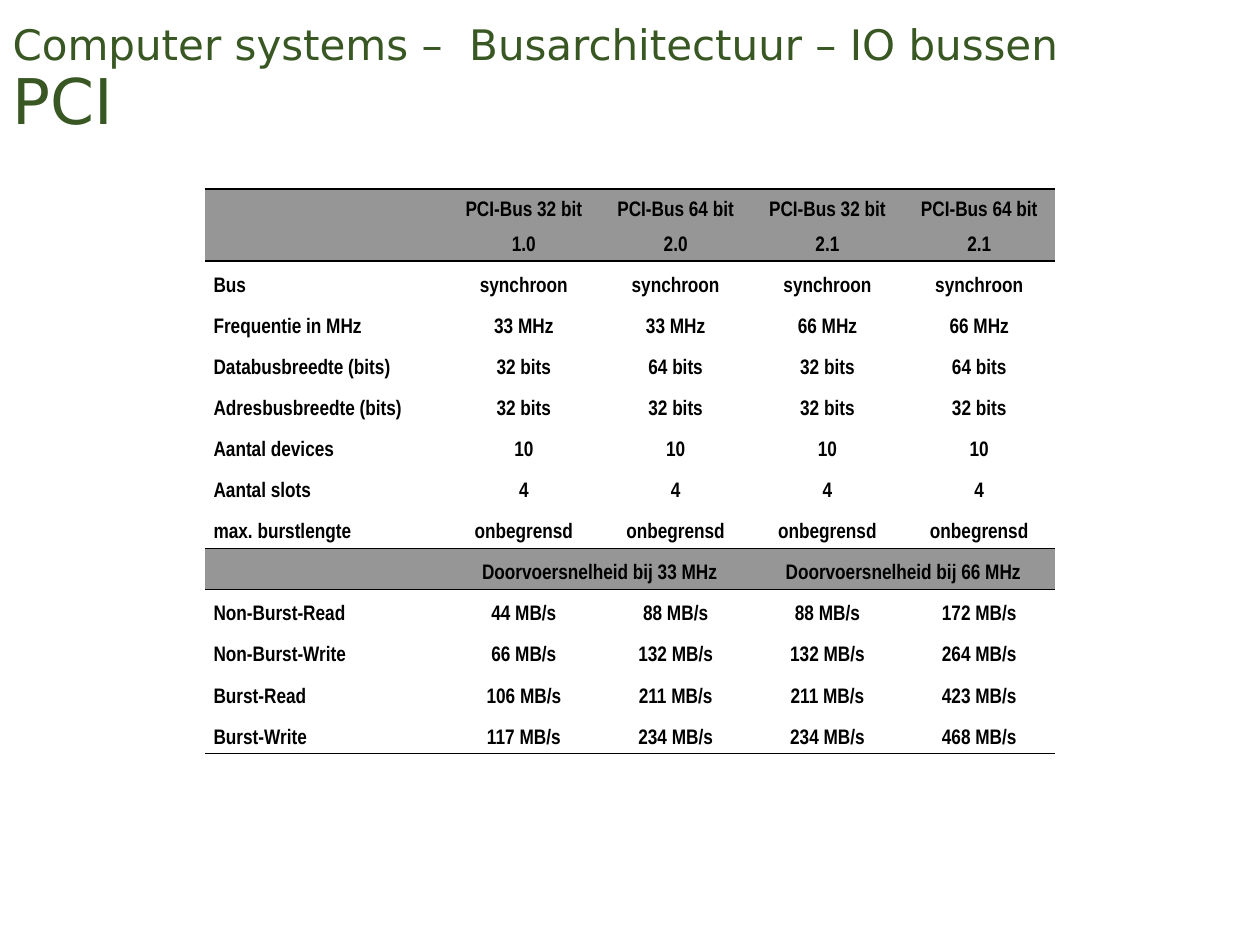
from lxml.etree import SubElement
from pptx import Presentation
from pptx.dml.color import RGBColor
from pptx.enum.text import MSO_ANCHOR, MSO_AUTO_SIZE, PP_ALIGN
from pptx.oxml.ns import qn
from pptx.util import Inches, Pt

THEME = {
    "title": {"name": "DejaVu Sans", "color": RGBColor.from_string("385723"), "bold": False},
    "cell": {"name": "Arial Narrow", "color": RGBColor.from_string("000000"),
             "bold": True, "size": Pt(12)},
    "title_sizes": (Pt(24), Pt(36)),
    "band": RGBColor.from_string("969696"),
    "rule": "000000",
    "no_style": "{2D5ABB26-0587-4C30-8999-92F81FD0307C}",
}
TITLE = ("Computer systems –  Busarchitectuur – IO bussen", "PCI")
ROWS = [
    ("", *["PCI-Bus 32 bit", "PCI-Bus 64 bit"] * 2),
    ("", "1.0", "2.0", "2.1", "2.1"),
    ("Bus", *["synchroon"] * 4),
    ("Frequentie in MHz", "33 MHz", "33 MHz", "66 MHz", "66 MHz"),
    ("Databusbreedte (bits)", *["32 bits", "64 bits"] * 2),
    ("Adresbusbreedte (bits)", *["32 bits"] * 4),
    ("Aantal devices", *["10"] * 4),
    ("Aantal slots", *["4"] * 4),
    ("max. burstlengte", *["onbegrensd"] * 4),
    ("", "Doorvoersnelheid bij 33 MHz", "", "Doorvoersnelheid bij 66 MHz", ""),
    ("Non-Burst-Read", "44 MB/s", "88 MB/s", "88 MB/s", "172 MB/s"),
    ("Non-Burst-Write", "66 MB/s", "132 MB/s", "132 MB/s", "264 MB/s"),
    ("Burst-Read", "106 MB/s", "211 MB/s", "211 MB/s", "423 MB/s"),
    ("Burst-Write", "117 MB/s", "234 MB/s", "234 MB/s", "468 MB/s"),
]
BANDS = (0, 1, 9)
RULES = (0, 2, 9, 10, len(ROWS))  # row edges that carry a line


def add_run(p, text, fmt):
    r = p.add_run()
    r.text = text
    for key, value in fmt.items():
        if key == "color":
            r.font.color.rgb = value
        else:
            setattr(r.font, key, value)


def add_border(cell, side, visible):
    ln = SubElement(cell._tc.get_or_add_tcPr(), qn(f"a:{side}"), w=str(Pt(1)))
    if visible:
        fill = SubElement(ln, qn("a:solidFill"))
        SubElement(fill, qn("a:srgbClr"), val=THEME["rule"])
    else:
        SubElement(ln, qn("a:noFill"))


prs = Presentation()
prs.slide_width, prs.slide_height = Inches(10), Inches(7.5)
W, H = prs.slide_width, prs.slide_height
s = prs.slides.add_slide(prs.slide_layouts[5])

# Title
sp = s.shapes.title
for key, value in {"left": 0, "top": 0, "width": W, "height": Inches(1.29)}.items():
    setattr(sp, key, value)
tf = sp.text_frame
for key, value in {"word_wrap": True, "auto_size": MSO_AUTO_SIZE.NONE,
                   "vertical_anchor": MSO_ANCHOR.MIDDLE}.items():
    setattr(tf, key, value)
for i, (text, size) in enumerate(zip(TITLE, THEME["title_sizes"])):
    p = tf.add_paragraph() if i else tf.paragraphs[0]
    p.alignment, p.line_spacing, p.space_before = PP_ALIGN.LEFT, 0.9, Pt(0)
    add_run(p, text, {**THEME["title"], "size": size})

# Table, centred across the slide; equal value columns and equal body rows
table_w, table_h = Inches(6.75), Inches(4.48)
label_w, head_hs = Inches(1.93), [Inches(0.29), Inches(0.28)]
body_count = len(ROWS) - len(head_hs)
widths = [label_w] + [(table_w - label_w) // 4] * 4
heights = head_hs + [(table_h - sum(head_hs)) // body_count] * body_count
frame = s.shapes.add_table(len(ROWS), len(widths), (W - table_w) // 2, H // 5,
                           table_w, table_h)
table = frame.table
table.first_row = table.horz_banding = False
table._tbl.tblPr.find(qn("a:tableStyleId")).text = THEME["no_style"]
for col, width in zip(table.columns, widths):
    col.width = width
for row, height in zip(table.rows, heights):
    row.height = height

for i, row in enumerate(ROWS):
    for j, text in enumerate(row):
        cell = table.cell(i, j)
        for key, value in {"vertical_anchor": MSO_ANCHOR.BOTTOM,
                           "margin_left": Inches(0.07), "margin_right": Inches(0.07),
                           "margin_top": Inches(0.04), "margin_bottom": Inches(0.04)}.items():
            setattr(cell, key, value)
        p = cell.text_frame.paragraphs[0]
        p.alignment = PP_ALIGN.CENTER if j else PP_ALIGN.LEFT
        if text:
            add_run(p, text, THEME["cell"])
        else:  # keeps an empty cell from stretching its row
            SubElement(p._p, qn("a:endParaRPr"), sz=str(int(THEME["cell"]["size"].pt * 100)))
        span = 2 if (i, j) == (0, 0) else 1
        for side, visible in {"lnL": False, "lnR": False, "lnT": i in RULES,
                              "lnB": i + span in RULES}.items():
            add_border(cell, side, visible)
        if i in BANDS:
            cell.fill.solid()
            cell.fill.fore_color.rgb = THEME["band"]
        else:
            cell.fill.background()

for first, last in (((0, 0), (1, 0)), ((9, 1), (9, 2)), ((9, 3), (9, 4))):
    table.cell(*first).merge(table.cell(*last))

prs.save("out.pptx")
